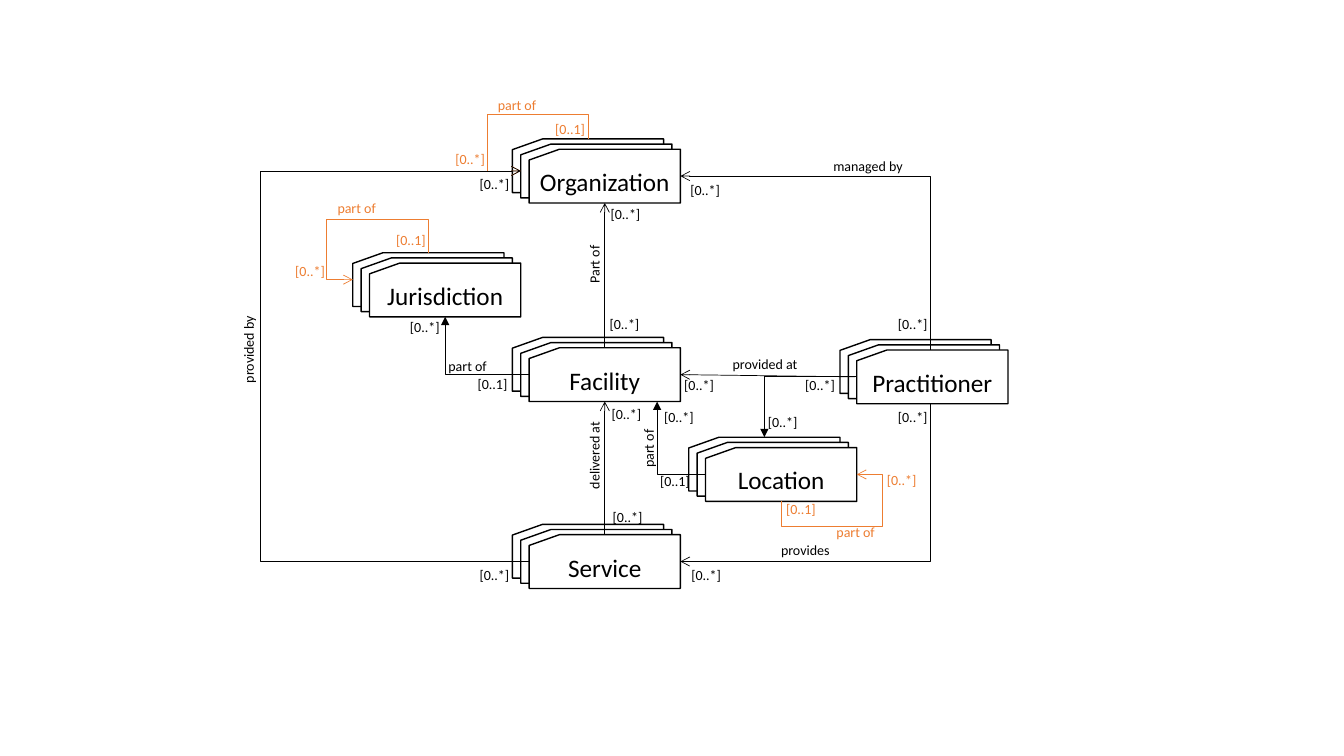
from collections import namedtuple
from lxml.etree import SubElement
from pptx import Presentation
from pptx.dml.color import RGBColor
from pptx.enum.shapes import MSO_CONNECTOR as Link, MSO_SHAPE as Form
from pptx.enum.text import MSO_ANCHOR as Anchor, MSO_AUTO_SIZE as Fit, PP_ALIGN as Align
from pptx.oxml.ns import qn
from pptx.util import Pt

BLACK, ORANGE, WHITE = "000000", "ED7D31", "FFFFFF"
CARD_W, CARD_H = 108, 38.4
STEP_X, STEP_Y = 6, 3.7
LINE_H, MARK_W, SIDE_W = 19.4, 36, 26.6

Box = namedtuple("Box", "left top right bottom midx midy")


def paint(color, value):
    color.rgb = RGBColor.from_string(value)


def write(frame, text, size, color):
    run = frame.paragraphs[0].add_run()
    run.text = text
    run.font.name = "Calibri"
    run.font.size = Pt(size)
    paint(run.font.color, color)


def card(slide, x, y):
    shape = slide.shapes.add_shape(
        Form.FLOWCHART_CARD, Pt(x), Pt(y), Pt(CARD_W), Pt(CARD_H))
    shape.shadow.inherit = False
    shape.fill.solid()
    paint(shape.fill.fore_color, WHITE)
    paint(shape.line.color, BLACK)
    shape.line.width = Pt(1)
    box = Box(x, y, x + CARD_W, y + CARD_H, x + CARD_W / 2, y + CARD_H / 2)
    return shape, box


def stack(slide, name, x, y):
    """Draw three cards and return their boxes, back to front."""
    boxes = []
    for i in range(3):
        shape, box = card(slide, x + i * STEP_X, y + i * STEP_Y)
        boxes.append(box)
    frame = shape.text_frame
    frame.vertical_anchor = Anchor.MIDDLE
    frame.paragraphs[0].alignment = Align.CENTER
    write(frame, name, 18, BLACK)
    return boxes


def style(line, color, head):
    paint(line.line.color, color)
    line.line.width = Pt(0.5)
    props = line._element.spPr
    SubElement(props.find(qn("a:ln")), qn("a:tailEnd"), type=head)
    SubElement(props, qn("a:effectLst"))


def arrow(slide, start, end, color=BLACK, head="arrow"):
    ends = [Pt(v) for v in (*start, *end)]
    style(slide.shapes.add_connector(Link.STRAIGHT, *ends), color, head)


def bend(slide, *points, color=BLACK, head="arrow"):
    """Draw one elbow connector through right-angled points."""
    (x0, y0), (x1, y1), (xn, yn) = points[0], points[1], points[-1]
    if x1 != x0:
        turns = 0 if x1 > x0 else 2
    else:
        turns = 1 if y1 > y0 else 3

    def local(point):
        u, v = point[0] - x0, point[1] - y0
        for _ in range(turns):
            u, v = v, -u
        return u, v

    u, v = local(points[-1])
    w, h = abs(u), abs(v)
    left, top = (x0 + xn - w) / 2, (y0 + yn - h) / 2
    line = slide.shapes.add_connector(
        Link.ELBOW, Pt(left), Pt(top), Pt(left + w), Pt(top + h))
    props = line._element.spPr
    frame = props.find(qn("a:xfrm"))
    frame.set("rot", str(turns * 5400000))
    frame.set("flipH", str(int(u < 0)))
    frame.set("flipV", str(int(v < 0)))

    # Bend positions as shares of the connector's own box
    geom = props.find(qn("a:prstGeom"))
    geom.set("prst", f"bentConnector{len(points) - 1}")
    shares = []
    if len(points) > 3:
        shares.append(local(points[1])[0] / u)
    if len(points) > 4:
        shares.append(local(points[2])[1] / v)
    guides = geom.find(qn("a:avLst"))
    for i, share in enumerate(shares, 1):
        SubElement(guides, qn("a:gd"), name=f"adj{i}",
                   fmla=f"val {round(share * 100000)}")
    style(line, color, head)


def label(slide, text, x, y, w, h=LINE_H, color=BLACK, side=False):
    area = slide.shapes.add_textbox(Pt(x), Pt(y), Pt(w), Pt(h))
    frame = area.text_frame
    frame.word_wrap = False
    frame.auto_size = Fit.SHAPE_TO_FIT_TEXT
    if side:
        frame._txBody.bodyPr.set("vert", "vert270")
    write(frame, text, 10, color)


def links(slide, org, fac, serv, prac, jur, loc):
    # Self references
    a, b = org[0], org[1]
    bend(slide, (a.midx, a.top), (a.midx, 81.4), (348, 81.4),
         (348, b.midy), (b.left, b.midy), color=ORANGE)
    a = jur[0]
    bend(slide, (a.midx, a.top), (a.midx, 156.8), (233.2, 156.8),
         (233.2, a.midy), (a.left, a.midy), color=ORANGE)
    a = loc[2]
    bend(slide, (a.midx, a.bottom), (a.midx, 375.8), (630, 375.8),
         (630, a.midy), (a.right, a.midy), color=ORANGE)

    # Links between the front cards
    o, f, s, p, j, c = (boxes[2] for boxes in (org, fac, serv, prac, jur, loc))
    arrow(slide, (s.midx, s.top), (f.midx, f.bottom))
    arrow(slide, (f.midx, f.top), (o.midx, o.bottom))
    arrow(slide, (p.left - 1.4, p.midy), (f.right, f.midy))
    bend(slide, (s.left, s.midy), (186.2, s.midy),
         (186.2, b.midy), (b.left, b.midy))
    turn = 664.6
    bend(slide, (turn, p.top), (turn, o.midy), (o.right, o.midy))
    bend(slide, (turn, p.bottom), (turn, s.midy), (s.right, s.midy))
    bend(slide, (f.left, f.midy), (j.midx, f.midy),
         (j.midx, j.bottom), head="triangle")
    bend(slide, (c.left, c.midy), (469.4, c.midy),
         (469.4, f.bottom), head="triangle")
    a = loc[0]
    bend(slide, (p.left, p.midy), (a.midx, p.midy),
         (a.midx, a.top), head="triangle")


def main():
    deck = Presentation()
    deck.slide_width, deck.slide_height = Pt(960), Pt(540)
    slide = deck.slides.add_slide(deck.slide_layouts[6])

    # Card stacks, then their links
    cards = (("Organization", 366, 99.2), ("Facility", 366, 241),
             ("Service", 366, 374.5), ("Practitioner", 600, 242.6),
             ("Jurisdiction", 252, 180.5), ("Location", 492, 312.3))
    links(slide, *[stack(slide, *item) for item in cards])

    # Names of the links
    for text, x, y, w, color in (
            ("part of", 348.5, 65.5, 42.5, ORANGE),
            ("part of", 234, 139, 42.5, ORANGE),
            ("part of", 590.4, 370.1, 42.5, ORANGE),
            ("part of", 313.2, 252, 42.5, BLACK),
            ("managed by", 588.2, 108.7, 64.8, BLACK),
            ("provided at", 516.2, 250.6, 61.9, BLACK),
            ("provides", 550.8, 383, 49.7, BLACK)):
        label(slide, text, x, y, w, color=color)
    for text, x, y, h in (
            ("Part of", 414.7, 175, 34.6), ("delivered at", 414.7, 300.2, 56.2),
            ("provided by", 167.8, 224.6, 56.2), ("part of", 453.6, 306, 35.3)):
        label(slide, text, x, y, SIDE_W, h, side=True)

    # Counts at the ends of the links
    marks = (
        ("[0..*]", BLACK, (
            (486, 126), (430.6, 360), (481.7, 265.7), (568.1, 265.7),
            (335.5, 401), (335.5, 121.7), (634.3, 221.8), (634.3, 288),
            (429.8, 285.8), (428.4, 221.8), (429.1, 143.3), (486.7, 401),
            (285.8, 223.9), (467.3, 288), (541.4, 291.6))),
        ("[0..*]", ORANGE, ((318.2, 103.7), (203.8, 184.3), (626.4, 333.4))),
        ("[0..1]", BLACK, ((334.1, 265), (464.4, 334.1))),
        ("[0..1]", ORANGE, ((389.5, 82.8), (275.8, 162), (554.4, 354.2))))
    for text, color, spots in marks:
        for x, y in spots:
            label(slide, text, x, y, MARK_W, color=color)

    deck.save("out.pptx")


main()
